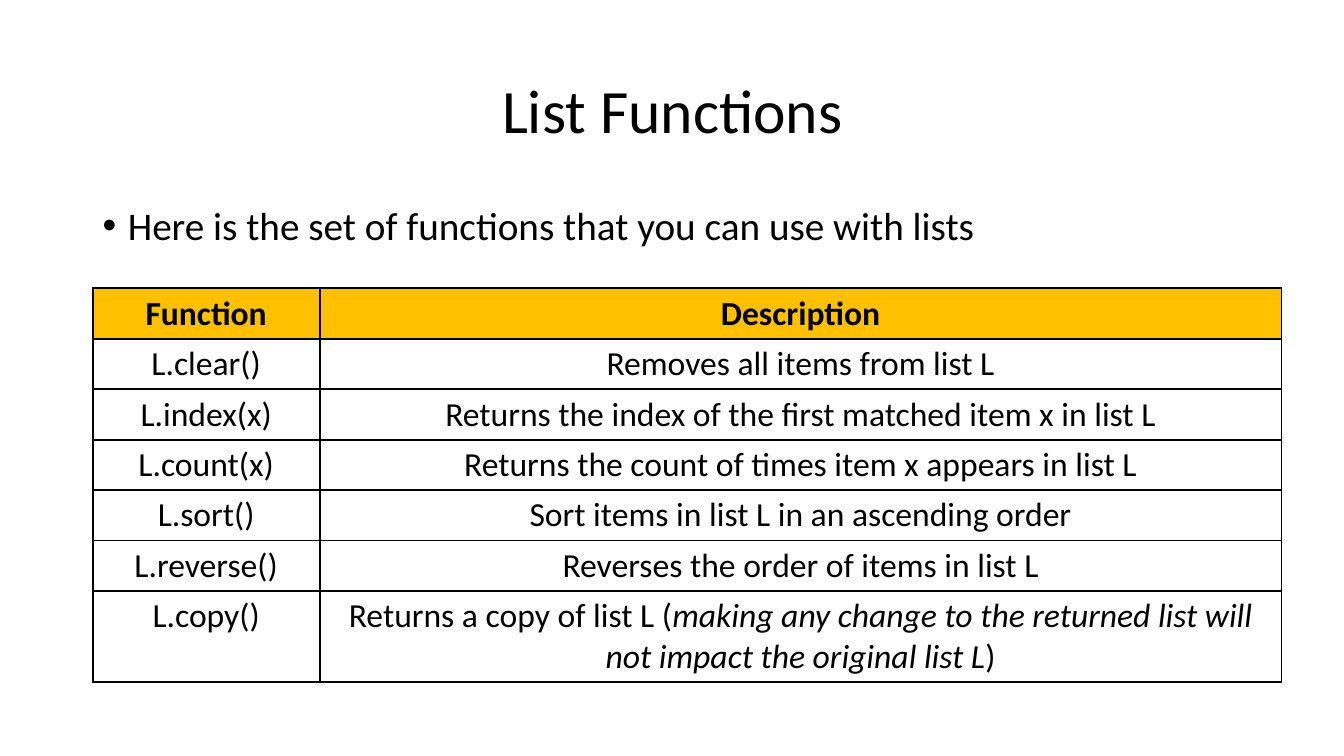
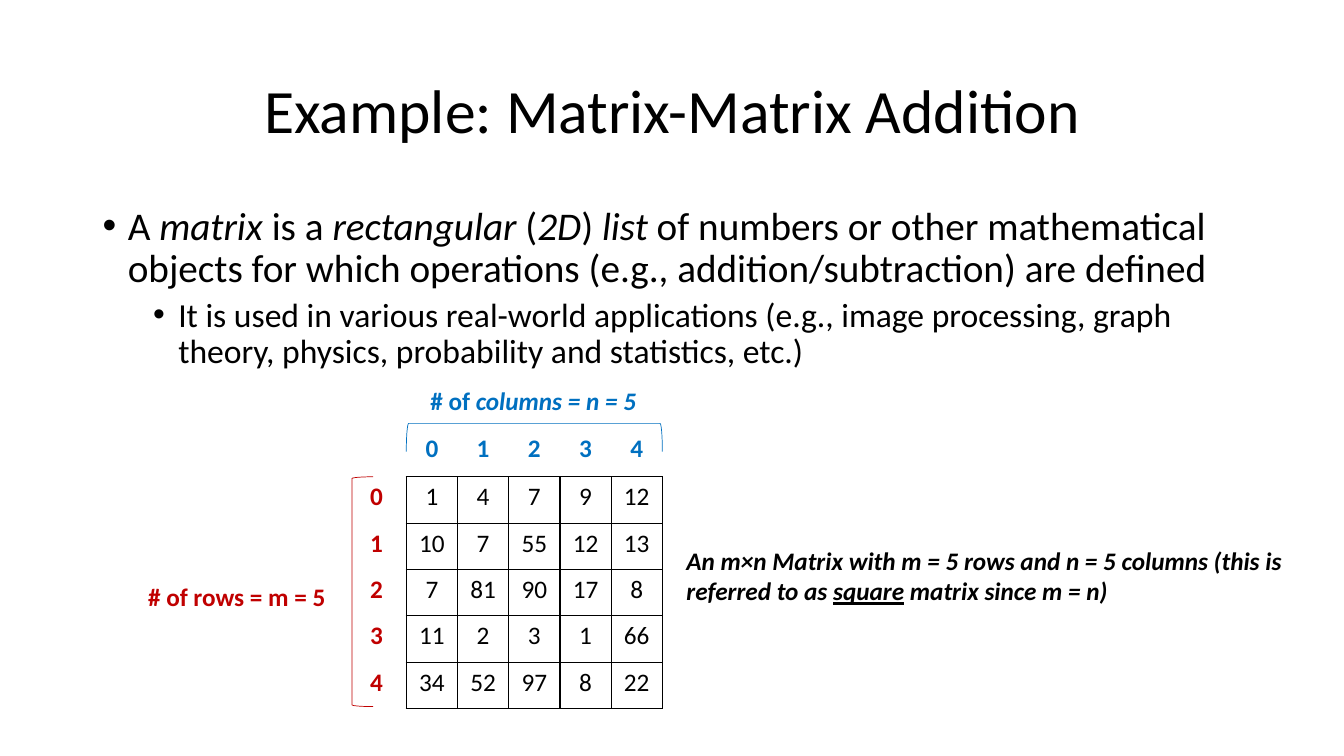
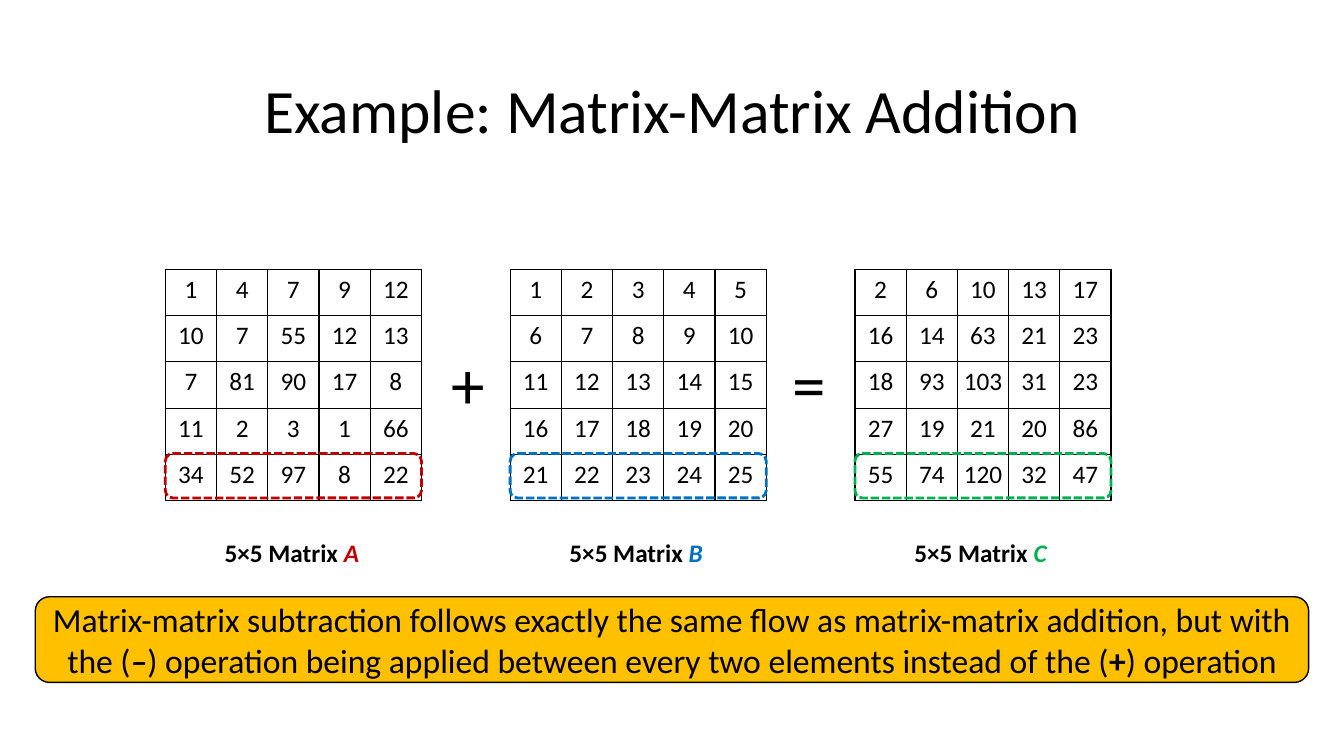
import pptx
import pptx.dml.color
import pptx.enum.dml
import pptx.enum.shapes
import pptx.enum.text
import pptx.oxml.ns
import pptx.util
from lxml import etree

Inches = pptx.util.Inches
Pt = pptx.util.Pt
RGBColor = pptx.dml.color.RGBColor
ALIGN = pptx.enum.text.PP_ALIGN
ANCHOR = pptx.enum.text.MSO_ANCHOR
SHAPE = pptx.enum.shapes.MSO_SHAPE
qn = pptx.oxml.ns.qn

FONT = "Calibri"
BLACK = RGBColor(0x00, 0x00, 0x00)
WHITE = RGBColor(0xFF, 0xFF, 0xFF)
GOLD = RGBColor(0xFF, 0xC0, 0x00)
RED = RGBColor(0xC0, 0x00, 0x00)
BLUE = RGBColor(0x00, 0x70, 0xC0)
GREEN = RGBColor(0x00, 0xB0, 0x50)

# Runs are (text, style) or (text, style, colour); style letters are b, i and u.
LIST_TITLE = "List Functions"
LIST_INTRO = [(0, [("Here is the set of functions that you can use with lists", "")])]
LIST_FUNCTIONS = [
    ("L.clear()", [("Removes all items from list L", "")]),
    ("L.index(x)", [("Returns the index of the first matched item x in list L", "")]),
    ("L.count(x)", [("Returns the count of times item x appears in list L", "")]),
    ("L.sort()", [("Sort items in list L in an ascending order", "")]),
    ("L.reverse()", [("Reverses the order of items in list L", "")]),
    ("L.copy()", [
        ("Returns a copy of list L (", ""),
        ("making any change to the returned list will not impact the original list L", "i"),
        (")", ""),
    ]),
]

MATRIX_TITLE = "Example: Matrix-Matrix Addition"
MATRIX_INTRO = [
    (0, [
        ("A ", ""), ("matrix", "i"), (" is a ", ""), ("rectangular", "i"),
        (" (", ""), ("2D", "i"), (") ", ""), ("list", "i"),
        (" of numbers or other mathematical objects for which operations "
         "(e.g., addition/subtraction) are defined", ""),
    ]),
    (1, [("It is used in various real-world applications (e.g., image processing, "
          "graph theory, physics, probability and statistics, etc.)", "")]),
]
ROWS_LABEL = [("# of rows = m = 5", "b", RED)]
COLUMNS_LABEL = [("# of ", "b", BLUE), ("columns = n = 5", "bi", BLUE)]
SQUARE_NOTE = [
    ("An m×n Matrix with m = 5 rows and n = 5 columns (this is\nreferred to as ", "bi"),
    ("square", "biu"),
    (" matrix since m = n)", "bi"),
]
MATRIX_A = [
    [1, 4, 7, 9, 12],
    [10, 7, 55, 12, 13],
    [7, 81, 90, 17, 8],
    [11, 2, 3, 1, 66],
    [34, 52, 97, 8, 22],
]
SIZE = len(MATRIX_A)
MATRIX_B = [[SIZE * row + col + 1 for col in range(SIZE)] for row in range(SIZE)]
MATRIX_C = [[a + b for a, b in zip(*rows)] for rows in zip(MATRIX_A, MATRIX_B)]
ADDITION = [("A", MATRIX_A, RED), ("B", MATRIX_B, BLUE), ("C", MATRIX_C, GREEN)]
OPERATORS = [("+", 4.38), ("=", 7.76)]
SUBTRACTION_NOTE = [
    ("Matrix-matrix subtraction follows exactly the same flow as matrix-matrix "
     "addition, but with the (", ""),
    ("–", "bi"),
    (") operation being applied between every two elements instead of the (", ""),
    ("+", "b"),
    (") operation", ""),
]

CELL_W, CELL_H = 0.51, 0.46
MATRIX_W, MATRIX_H = 2.54, 2.28
BODY_LEVELS = [  # size, left indent, space before
    (28, 0.25, 10),
    (24, 0.75, 5),
]


def add_runs(paragraph, runs, size):
    for text, style, *colour in runs:
        for number, line in enumerate(text.split("\n")):
            if number:
                paragraph.add_line_break()
            run = paragraph.add_run()
            run.text = line
            font = run.font
            font.name, font.size = FONT, Pt(size)
            font.color.rgb = colour[0] if colour else BLACK
            font.bold, font.italic = "b" in style, "i" in style
            font.underline = "u" in style


def add_label(slide, left, top, width, height, runs, size=18, align=ALIGN.LEFT):
    """Add unwrapped text whose box grows with it."""
    box = slide.shapes.add_textbox(*map(Inches, (left, top, width, height)))
    box.text_frame.word_wrap = False
    box.text_frame.auto_size = pptx.enum.text.MSO_AUTO_SIZE.SHAPE_TO_FIT_TEXT
    paragraph = box.text_frame.paragraphs[0]
    paragraph.alignment = align
    add_runs(paragraph, runs, size)


def add_titled_slide(deck, title):
    slide = deck.slides.add_slide(deck.slide_layouts[6])
    box = slide.shapes.add_textbox(Inches(0.92), Inches(0.4), Inches(11.5), Inches(1.45))
    frame = box.text_frame
    frame.word_wrap = True
    frame.vertical_anchor = ANCHOR.MIDDLE
    paragraph = frame.paragraphs[0]
    paragraph.alignment, paragraph.line_spacing = ALIGN.CENTER, 0.9
    add_runs(paragraph, [(title, "")], 44)
    return slide


def add_bullets(slide, bullets):
    box = slide.shapes.add_textbox(Inches(0.92), Inches(2), Inches(11.5), Inches(4.76))
    frame = box.text_frame
    frame.word_wrap = True
    for number, (level, runs) in enumerate(bullets):
        size, indent, space = BODY_LEVELS[level]
        paragraph = frame.add_paragraph() if number else frame.paragraphs[0]
        properties = paragraph._p.get_or_add_pPr()
        properties.set("marL", str(Inches(indent)))
        properties.set("indent", str(Inches(-0.25)))
        etree.SubElement(properties, qn("a:buFont"), typeface="Arial")
        etree.SubElement(properties, qn("a:buChar"), char="•")
        paragraph.level, paragraph.line_spacing = level, 0.9
        if number:
            paragraph.space_before = Pt(space)
        add_runs(paragraph, runs, size)


def set_borders(cell, width):
    """Draw all four sides in black, or none when width is 0."""
    properties = cell._tc.get_or_add_tcPr()
    for side in ("a:lnL", "a:lnR", "a:lnT", "a:lnB"):
        line = etree.SubElement(properties, qn(side), w=str(Pt(width)))
        if width:
            fill = etree.SubElement(line, qn("a:solidFill"))
            etree.SubElement(fill, qn("a:srgbClr"), val=str(BLACK))
        else:
            etree.SubElement(line, qn("a:noFill"))


def add_grid(slide, left, top, widths, row_height, rows, size, border=0, fills=None):
    """Add a centred table; rows hold lists of runs, fills one colour a row."""
    table = slide.shapes.add_table(
        len(rows), len(widths), Inches(left), Inches(top),
        Inches(sum(widths)), Inches(row_height * len(rows))).table
    table.first_row = table.horz_banding = False
    for column, width in zip(table.columns, widths):
        column.width = Inches(width)
    for r, cells in enumerate(rows):
        table.rows[r].height = Inches(row_height)
        for c, runs in enumerate(cells):
            cell = table.cell(r, c)
            set_borders(cell, border)
            if fills:
                cell.fill.solid()
                cell.fill.fore_color.rgb = fills[r]
            else:
                cell.fill.background()
                cell.margin_left = cell.margin_right = 0
            paragraph = cell.text_frame.paragraphs[0]
            paragraph.alignment = ALIGN.CENTER
            add_runs(paragraph, runs, size)


def add_matrix(slide, left, top, values):
    rows = [[[(str(value), "")] for value in row] for row in values]
    add_grid(slide, left, top, [MATRIX_W / SIZE] * SIZE, CELL_H, rows, 18, border=1)


def add_outline(slide, kind, left, top, width, height, colour, weight, fill=None):
    shape = slide.shapes.add_shape(kind, *map(Inches, (left, top, width, height)))
    shape.shadow.inherit = False
    shape.line.color.rgb, shape.line.width = colour, Pt(weight)
    if fill is None:
        shape.fill.background()
    else:
        shape.fill.solid()
        shape.fill.fore_color.rgb = fill
    return shape


def build_list_functions(deck):
    slide = add_titled_slide(deck, LIST_TITLE)
    add_bullets(slide, LIST_INTRO)
    rows = [[[("Function", "b")], [("Description", "b")]]]
    rows += [[[(name, "")], description] for name, description in LIST_FUNCTIONS]
    fills = [GOLD] + [WHITE] * len(LIST_FUNCTIONS)
    add_grid(slide, 0.92, 2.86, [2.25, 9.54], 0.41, rows, 24, 1.5, fills)


def build_matrix_definition(deck):
    slide = add_titled_slide(deck, MATRIX_TITLE)
    add_bullets(slide, MATRIX_INTRO)
    left, top = 4.03, 4.73
    add_matrix(slide, left, top, MATRIX_A)
    row_numbers = [[[(str(i), "b", RED)]] for i in range(SIZE)]
    column_numbers = [[[(str(i), "b", BLUE)] for i in range(SIZE)]]
    add_grid(slide, 3.57, top, [0.33], CELL_H, row_numbers, 18)
    add_grid(slide, left, 4.25, [MATRIX_W / SIZE] * SIZE, 0.41, column_numbers, 18)

    add_outline(slide, SHAPE.LEFT_BRACKET, 3.49, top, 0.21, MATRIX_H, RED, 0.5)
    depth = 0.28
    columns_bracket = add_outline(
        slide, SHAPE.RIGHT_BRACKET, left + (MATRIX_W - depth) / 2, 3.07,
        depth, MATRIX_W, BLUE, 0.5)
    columns_bracket.rotation = 270

    add_label(slide, 1.37, 5.72, 1.98, 0.4, ROWS_LABEL)
    add_label(slide, 4.17, 3.77, 2.27, 0.4, COLUMNS_LABEL)
    add_label(slide, 6.71, 5.36, 6.18, 0.71, SQUARE_NOTE)


def build_matrix_addition(deck):
    slide = add_titled_slide(deck, MATRIX_TITLE)
    top, caption_w = 2.67, 1.56
    for number, (name, values, colour) in enumerate(ADDITION):
        left = 1.64 + 3.42 * number
        add_matrix(slide, left, top, values)
        add_label(slide, left + (MATRIX_W - caption_w) / 2, 5.28, caption_w, 0.4,
                  [("5×5 Matrix ", "b"), (name, "bi", colour)])
        last_row = add_outline(slide, SHAPE.ROUNDED_RECTANGLE, left,
                               top + CELL_H * (SIZE - 1) - 0.01, MATRIX_W, 0.44, colour, 2)
        last_row.line.dash_style = pptx.enum.dml.MSO_LINE.SQUARE_DOT
    for sign, left in OPERATORS:
        add_label(slide, left, 3.35, 0.54, 0.91, [(sign, "")], 48)

    note = add_outline(slide, SHAPE.ROUNDED_RECTANGLE, 0.35, 5.92, 12.63, 0.85,
                       BLACK, 1, GOLD)
    note.text_frame.word_wrap = True
    note.text_frame.vertical_anchor = ANCHOR.MIDDLE
    paragraph = note.text_frame.paragraphs[0]
    paragraph.alignment = ALIGN.CENTER
    add_runs(paragraph, SUBTRACTION_NOTE, 24)


def main():
    deck = pptx.Presentation()
    deck.slide_width, deck.slide_height = Inches(13.33), Inches(7.5)
    build_list_functions(deck)
    build_matrix_definition(deck)
    build_matrix_addition(deck)
    deck.save("out.pptx")


if __name__ == "__main__":
    main()
